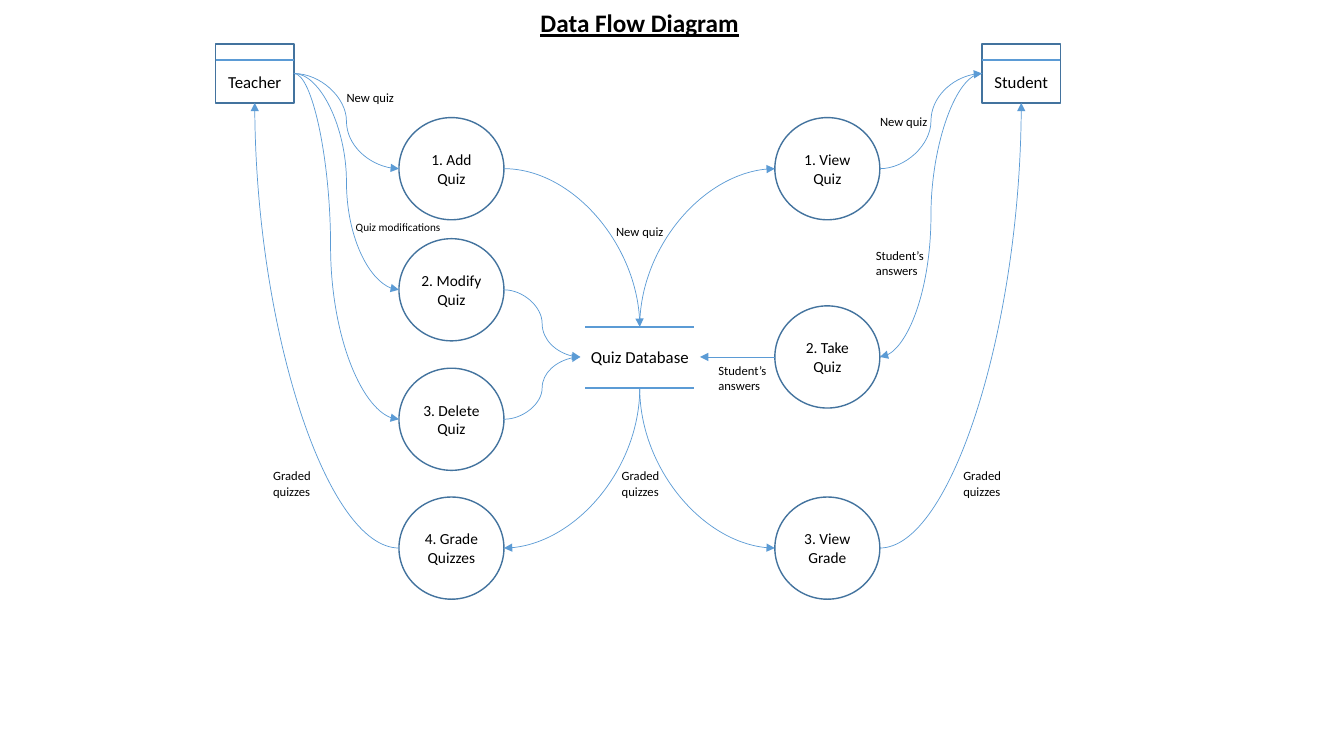
from pptx import Presentation
from pptx.dml.color import RGBColor
from pptx.enum.shapes import MSO_CONNECTOR, MSO_SHAPE
from pptx.enum.text import MSO_ANCHOR, PP_ALIGN
from pptx.oxml.ns import qn
from pptx.util import Pt
from lxml import etree

BLACK = RGBColor(0x00, 0x00, 0x00)
OUTLINE = RGBColor(0x43, 0x73, 0x9E)
FLOW = RGBColor(0x5B, 0x9B, 0xD5)

deck = Presentation()
deck.slide_width, deck.slide_height = Pt(960), Pt(540)
slide = deck.slides.add_slide(deck.slide_layouts[6])


def write(holder, text, size, align=PP_ALIGN.LEFT):
    frame = holder.text_frame
    frame.text = text
    frame.paragraphs[0].alignment = align
    font = frame.paragraphs[0].runs[0].font
    font.name, font.size, font.color.rgb = "Calibri", Pt(size), BLACK
    return font


def connect(start, end, width=0.5, preset="line", arrow=None, bend=None):
    kind = MSO_CONNECTOR.STRAIGHT if preset == "line" else MSO_CONNECTOR.CURVE
    link = slide.shapes.add_connector(kind, *map(Pt, start + end))
    link.line.color.rgb, link.line.width = FLOW, Pt(width)
    properties = link._element.spPr
    geometry = properties.find(qn("a:prstGeom"))
    geometry.set("prst", preset)
    if bend:
        etree.SubElement(geometry.find(qn("a:avLst")), qn("a:gd"),
                         name="adj1", fmla=f"val {bend}")
    if arrow:
        etree.SubElement(properties.find(qn("a:ln")), qn(f"a:{arrow}"), type="triangle")
    etree.SubElement(properties, qn("a:effectLst"))


# External entities and processes
ENTITY_TOP, ENTITY_W, ENTITY_H = 31.5, 56, 42
CIRCLE_W, CIRCLE_H = 75, 73
LEFT, RIGHT = 285, 553.5
TEACHER, STUDENT = 154, 701.5
ADD, MODIFY, TAKE, DELETE, GRADE = 120.5, 207, 255, 299.5, 391.5
nodes = [
    ("Teacher", TEACHER, None), ("Student", STUDENT, None),
    ("1. Add Quiz", LEFT, ADD), ("2. Modify Quiz", LEFT, MODIFY),
    ("3. Delete Quiz", LEFT, DELETE), ("4. Grade Quizzes", LEFT, GRADE),
    ("1. View Quiz", RIGHT, ADD), ("2. Take Quiz", RIGHT, TAKE),
    ("3. View Grade", RIGHT, GRADE),
]
for name, x, middle in nodes:
    if middle is None:
        node = slide.shapes.add_shape(MSO_SHAPE.RECTANGLE, Pt(x), Pt(ENTITY_TOP),
                                      Pt(ENTITY_W), Pt(ENTITY_H))
        size, inset, header = 12, 1, 11.5
    else:
        node = slide.shapes.add_shape(MSO_SHAPE.OVAL, Pt(x), Pt(middle - CIRCLE_H / 2),
                                      Pt(CIRCLE_W), Pt(CIRCLE_H))
        size, inset, header = 11, 3, 0
    node.shadow.inherit = False
    node.fill.background()
    node.line.color.rgb, node.line.width = OUTLINE, Pt(1)
    frame = node.text_frame
    frame.word_wrap, frame.vertical_anchor = True, MSO_ANCHOR.MIDDLE
    frame.margin_left = frame.margin_right = Pt(inset)
    frame.margin_top, frame.margin_bottom = Pt(header), Pt(0)
    write(node, name, size, PP_ALIGN.CENTER)

# Entity header rules and data store rules
for x in (TEACHER, STUDENT):
    connect((x, 43), (x + ENTITY_W, 43), 1.5)
STORE_X, STORE_TOP, STORE_BOTTOM = 457, 233.5, 277
for y in (STORE_TOP, STORE_BOTTOM):
    connect((418, y), (496, y), 1.5)

# S-shaped flows
teacher_port = (TEACHER + ENTITY_W, 52.5)
student_port = (STUDENT, 52.5)
store_left = (414.5, TAKE)
left_out, right_out = LEFT + CIRCLE_W, RIGHT + CIRCLE_W
for start, end, bend in [
    (teacher_port, (LEFT, ADD), None),
    (teacher_port, (LEFT, MODIFY), None),
    (teacher_port, (LEFT, DELETE), 34900),
    ((left_out, MODIFY), store_left, None),
    ((left_out, DELETE), store_left, None),
    ((right_out, ADD), student_port, None),
    (student_port, (right_out, TAKE), None),
]:
    connect(start, end, preset="curvedConnector3", arrow="tailEnd", bend=bend)

# Quarter-arc flows, each drawn from its process
for start, end, arrow in [
    ((left_out, ADD), (STORE_X, STORE_TOP), "tailEnd"),
    ((RIGHT, ADD), (STORE_X, STORE_TOP), "headEnd"),
    ((left_out, GRADE), (STORE_X, STORE_BOTTOM), "headEnd"),
    ((RIGHT, GRADE), (STORE_X, STORE_BOTTOM), "headEnd"),
    ((LEFT, GRADE), (TEACHER + ENTITY_W / 2, ENTITY_TOP + ENTITY_H), "tailEnd"),
    ((right_out, GRADE), (STUDENT + ENTITY_W / 2, ENTITY_TOP + ENTITY_H), "tailEnd"),
]:
    connect(start, end, preset="curvedConnector2", arrow=arrow)
connect((RIGHT, TAKE), (500, TAKE), arrow="tailEnd")

# Labels; the two-line ones wrap
LINE_H, TWO_LINES_H = 18, 29
for text, x, y, width, height, size in [
    ("Quiz Database", 415, 244, 85, 22, 12),
    ("New quiz", 240.5, 60.5, 49, LINE_H, 9),
    ("Quiz modifications", 247, 154, 76, LINE_H, 8),
    ("New quiz", 433, 156.5, 49, LINE_H, 9),
    ("New quiz", 621.5, 78, 49, LINE_H, 9),
    ("Graded quizzes", 437, 331, 50, TWO_LINES_H, 9),
    ("Graded quizzes", 188, 331, 50, TWO_LINES_H, 9),
    ("Graded quizzes", 681, 331, 50, TWO_LINES_H, 9),
    ("Student’s answers", 618.5, 173.5, 53, TWO_LINES_H, 9),
    ("Student’s answers", 506, 255.5, 60, TWO_LINES_H, 9),
]:
    label = slide.shapes.add_textbox(Pt(x), Pt(y), Pt(width), Pt(height))
    label.text_frame.word_wrap = height == TWO_LINES_H
    write(label, text, size)

# Title
title = slide.shapes.add_textbox(Pt(379), Pt(2), Pt(158), Pt(29))
title.text_frame.word_wrap = False
title_font = write(title, "Data Flow Diagram", 18)
title_font.bold = title_font.underline = True

deck.save("out.pptx")
